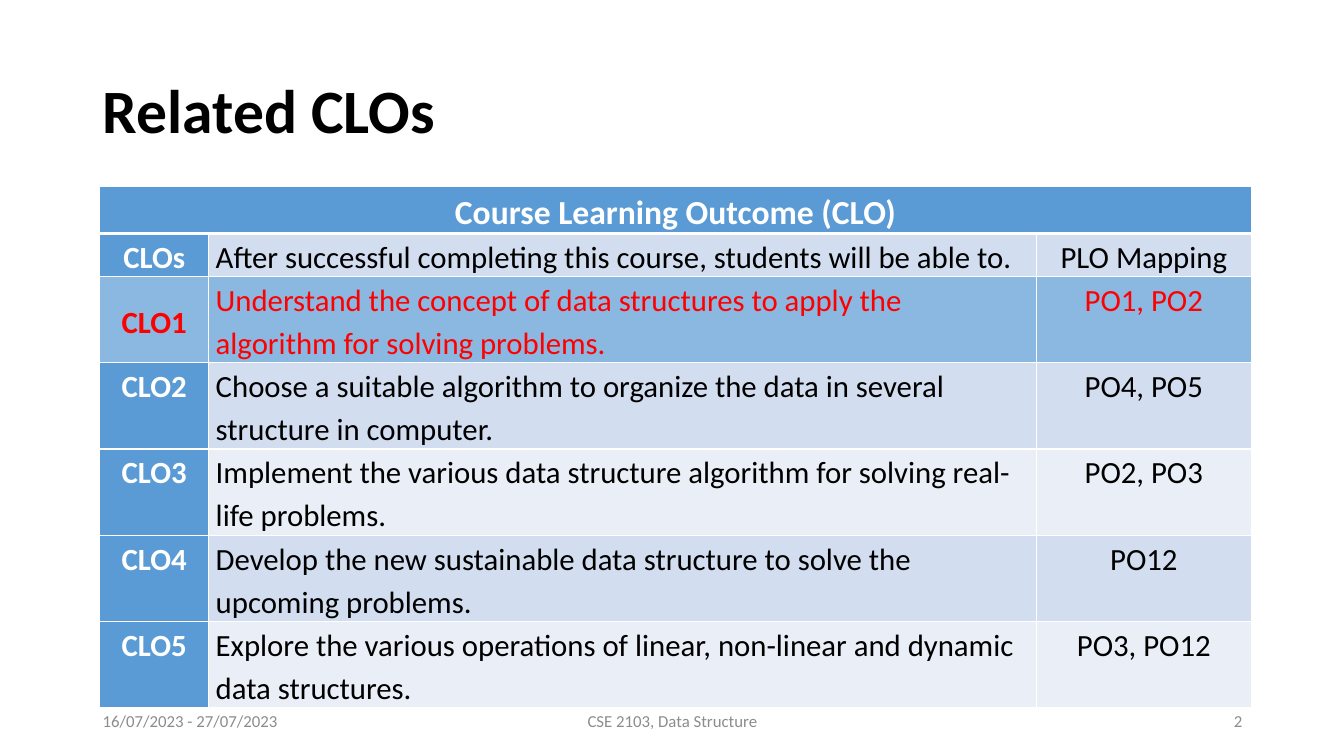
from lxml.etree import SubElement
from pptx import Presentation
from pptx.dml.color import RGBColor
from pptx.enum.text import MSO_ANCHOR as Anchor, PP_ALIGN as Align
from pptx.oxml.ns import qn
from pptx.util import Pt

PX = 9144
FONT = "Calibri"
WHITE, BLACK, RED, GREY = "FFFFFF", "000000", "FF0000", "8C8C8C"
BLUE, PALE, PALER = "5B9BD5", "D2DEEF", "EAEFF7"
HIGHLIGHT_ALPHA = 71

HEADING = "Course Learning Outcome (CLO)"
OUTCOMES = [
    ("CLOs", "After successful completing this course, students will be able to.", "PLO Mapping"),
    ("CLO1", "Understand the concept of data structures to apply the algorithm for solving problems.", "PO1, PO2"),
    ("CLO2", "Choose a suitable algorithm to organize the data in several structure in computer.", "PO4, PO5"),
    ("CLO3", "Implement the various data structure algorithm for solving real-life problems.", "PO2, PO3"),
    ("CLO4", "Develop the new sustainable data structure to solve the upcoming problems.", "PO12"),
    ("CLO5", "Explore the various operations of linear, non-linear and dynamic data structures.", "PO3, PO12"),
]
HIGHLIGHTED = "CLO1"
COLUMN_WIDTHS = [108, 821, 213]
ROW_HEIGHTS = [46, 42] + [85] * 5


def px(*lengths):
    return [length * PX for length in lengths]


def rgb(value):
    return RGBColor.from_string(value)


def write(frame, text, size, color, bold=False, align=Align.LEFT, spacing=None):
    paragraph = frame.paragraphs[0]
    paragraph.alignment = align
    paragraph.line_spacing = spacing
    run = paragraph.add_run()
    run.text = text
    run.font.name = FONT
    run.font.size = Pt(size)
    run.font.bold = bold
    run.font.color.rgb = rgb(color)


def draw_borders(cell, top, bottom):
    properties = cell._tc.get_or_add_tcPr()
    for side, width in (("L", 1), ("R", 1), ("T", top), ("B", bottom)):
        line = SubElement(properties, qn(f"a:ln{side}"), w=str(Pt(width)))
        solid = SubElement(line, qn("a:solidFill"))
        SubElement(solid, qn("a:srgbClr"), val=WHITE)


def fill_cell(cell, color, alpha=100):
    cell.fill.solid()
    cell.fill.fore_color.rgb = rgb(color)
    if alpha < 100:
        tint = next(cell._tc.tcPr.find(qn("a:solidFill")).iter(qn("a:srgbClr")))
        SubElement(tint, qn("a:alpha"), val=str(alpha * 1000))


def format_cell(cell, text, size, color, fill, bold=False, align=Align.CENTER,
                anchor=Anchor.TOP, alpha=100, top=1, bottom=1):
    cell.margin_left = cell.margin_right = 7 * PX
    cell.margin_top = cell.margin_bottom = 0
    cell.vertical_anchor = anchor
    draw_borders(cell, top, bottom)
    fill_cell(cell, fill, alpha)
    write(cell.text_frame, text, size, color, bold, align, 1.15)


def add_title(slide, left, top, width, height):
    title = slide.shapes.title
    title.left, title.top, title.width, title.height = px(left, top, width, height)
    title.text_frame.word_wrap = True
    title.text_frame.vertical_anchor = Anchor.MIDDLE
    write(title.text_frame, "Related CLOs", 44, BLACK, True, spacing=0.9)


def add_outcomes(slide, left, top):
    box = px(left, top, sum(COLUMN_WIDTHS), sum(ROW_HEIGHTS))
    table = slide.shapes.add_table(len(ROW_HEIGHTS), len(COLUMN_WIDTHS), *box).table
    for column, width in zip(table.columns, px(*COLUMN_WIDTHS)):
        column.width = width
    for row, height in zip(table.rows, px(*ROW_HEIGHTS)):
        row.height = height

    heading = table.cell(0, 0)
    heading.merge(table.cell(0, len(COLUMN_WIDTHS) - 1))
    format_cell(heading, HEADING, 24, WHITE, BLUE, True, bottom=3)

    for row, (label, outcome, mapping) in enumerate(OUTCOMES, 1):
        marked = label == HIGHLIGHTED
        first = row == 1
        band = BLUE if marked else PALE if row % 2 else PALER
        ink = RED if marked else BLACK
        shared = {"alpha": HIGHLIGHT_ALPHA if marked else 100, "top": 3 if first else 1}
        format_cell(table.cell(row, 0), label, 22, RED if marked else WHITE, BLUE, True,
                    anchor=Anchor.MIDDLE if first or marked else Anchor.TOP, **shared)
        format_cell(table.cell(row, 1), outcome, 22, ink, band, align=Align.LEFT,
                    anchor=Anchor.MIDDLE if first else Anchor.TOP, **shared)
        format_cell(table.cell(row, 2), mapping, 22, ink, band, **shared)


def add_footer(slide, left, top, width, height):
    side, middle = 300, 450
    entries = [
        ("16/07/2023 - 27/07/2023", left, side, Align.LEFT),
        ("CSE 2103, Data Structure", left + (width - middle) // 2, middle, Align.CENTER),
        ("2", left + width - side, side, Align.RIGHT),
    ]
    for text, start, extent, align in entries:
        frame = slide.shapes.add_textbox(*px(start, top, extent, height)).text_frame
        frame.word_wrap = True
        frame.vertical_anchor = Anchor.MIDDLE
        write(frame, text, 12, GREY, align=align)


def main():
    deck = Presentation()
    deck.slide_width, deck.slide_height = px(1333, 750)
    slide = deck.slides.add_slide(deck.slide_layouts[5])
    add_title(slide, 92, 40, 1150, 145)
    add_outcomes(slide, 99, 185)
    add_footer(slide, 92, 695, 1150, 40)
    deck.save("out.pptx")


if __name__ == "__main__":
    main()
